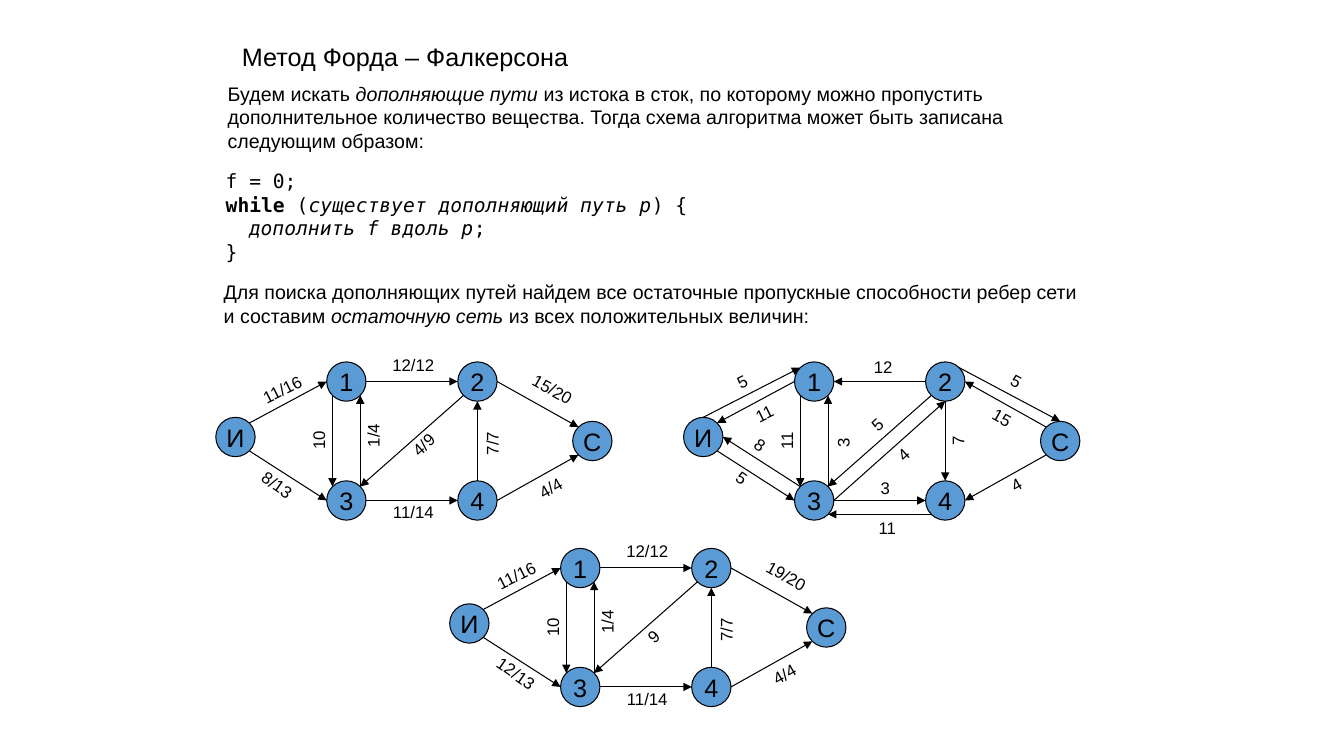
from math import sqrt

from lxml.etree import SubElement
from pptx import Presentation
from pptx.dml.color import RGBColor
from pptx.enum.shapes import MSO_CONNECTOR, MSO_SHAPE
from pptx.enum.text import MSO_ANCHOR, MSO_AUTO_SIZE, PP_ALIGN
from pptx.oxml.ns import qn
from pptx.util import Inches, Pt

COLORS = {"ink": "000000", "node": "5B9BD5"}
SANS, MONO = "Arial", "DejaVu Sans Mono"

TITLE = "Метод Форда – Фалкерсона"

# Each text: box, font, paragraphs as (indent, lines); a line is a list of (text, style) runs
TEXTS = [
    ((2.16, 0.76, 7.94, 0.81), SANS, [(0, [
        [("Будем искать ", ""), ("дополняющие пути", "i"),
         (" из истока в сток, по которому можно пропустить", "")],
        [("дополнительное количество вещества. Тогда схема алгоритма может быть записана", "")],
        [("следующим образом:", "")],
    ])]),
    ((2.14, 1.63, 4.79, 1.04), MONO, [
        (0, [[("f = 0;", "")]]),
        (0, [[("while", "b"), (" (", ""), ("существует дополняющий путь p", "i"), (") {", "")]]),
        (0.23, [[("дополнить f вдоль p", "i"), (";", "")]]),
        (0, [[("}", "")]]),
    ]),
    ((2.12, 2.73, 8.73, 0.57), SANS, [(0, [
        [("Для поиска дополняющих путей найдем все остаточные пропускные способности ребер сети", "")],
        [("и составим ", ""), ("остаточную сеть", "i"), (" из всех положительных величин:", "")],
    ])]),
]

# Top left corner of each node, relative to its graph
NODES = {"И": (0, 0.55), "1": (1.1, 0), "2": (2.4, 0),
         "3": (1.1, 1.18), "4": (2.4, 1.18), "С": (3.54, 0.59)}
DIAMETER = 0.39

# Label angles along the edges
UP, RISE, STEEP, FALL, DROP, RISE_SINK = 270, 333.5, 317.6, 29.1, 35.2, 330.6

# (from, to): from port, to port, label, label centre x, y, angle
FLOW = {
    ("И", "1"): ("ne", "w", "11/16", 0.66, 0.27, RISE),
    ("1", "2"): ("e", "w", "12/12", 1.96, 0.03, 0),
    ("1", "3"): ("sw", "nw", "10", 1.02, 0.78, UP),
    ("3", "1"): ("ne", "se", "1/4", 1.56, 0.73, UP),
    ("И", "3"): ("se", "w", "8/13", 0.61, 1.22, DROP),
    ("3", "4"): ("e", "w", "11/14", 1.96, 1.49, 0),
    ("4", "2"): ("n", "s", "7/7", 2.74, 0.81, UP),
    ("2", "3"): ("sw", "ne", "4/9", 2.06, 0.82, STEEP),
    ("4", "С"): ("e", "sw", "4/4", 3.32, 1.25, RISE_SINK),
    ("2", "С"): ("e", "nw", "15/20", 3.34, 0.27, FALL),
}
AUGMENTED_FLOW = {
    **FLOW,
    ("И", "3"): ("se", "w", "12/13", 0.66, 1.24, DROP),
    ("2", "3"): ("sw", "ne", "9", 2.02, 0.87, STEEP),
    ("2", "С"): ("e", "nw", "19/20", 3.34, 0.27, FALL),
}
RESIDUAL = {
    ("И", "1"): ("n", "nw", "5", 0.58, 0.19, RISE),
    ("1", "И"): ("w", "ne", "11", 0.8, 0.51, RISE),
    ("2", "1"): ("w", "e", "12", 1.98, 0.05, 0),
    ("1", "3"): ("sw", "nw", "11", 1.02, 0.78, UP),
    ("3", "1"): ("ne", "se", "3", 1.58, 0.8, UP),
    ("И", "3"): ("se", "w", "5", 0.58, 1.15, DROP),
    ("3", "И"): ("nw", "e", "8", 0.76, 0.82, DROP),
    ("3", "4"): ("e", "w", "3", 2, 1.25, 0),
    ("4", "3"): ("sw", "se", "11", 2.02, 1.65, 0),
    ("2", "4"): ("s", "n", "7", 2.72, 0.78, UP),
    ("2", "3"): ("sw", "ne", "5", 1.92, 0.62, STEEP),
    ("3", "2"): ("e", "s", "4", 2.18, 0.92, STEEP),
    ("С", "4"): ("sw", "e", "4", 3.3, 1.22, RISE_SINK),
    ("2", "С"): ("ne", "n", "5", 3.3, 0.19, FALL),
    ("С", "2"): ("nw", "e", "15", 3.16, 0.55, FALL),
}
GRAPHS = [((2.14, 3.59), FLOW), ((6.78, 3.59), RESIDUAL), ((4.46, 5.44), AUGMENTED_FLOW)]


def color(name):
    return RGBColor.from_string(COLORS[name])


def add_run(paragraph, text, size, font=SANS, style=""):
    run = paragraph.add_run()
    run.text = text
    run.font.size = Pt(size)
    run.font.name = font
    run.font.color.rgb = color("ink")
    if style == "b":
        run.font.bold = True
    elif style == "i":
        run.font.italic = True


def add_text_box(slide, box):
    shape = slide.shapes.add_textbox(*map(Inches, box))
    shape.text_frame.word_wrap = False
    return shape


def add_title(slide):
    title = slide.shapes.title
    title.left, title.top, title.width, title.height = map(Inches, (2.3, 0.36, 3.45, 0.4))
    frame = title.text_frame
    frame.auto_size = MSO_AUTO_SIZE.NONE
    frame.word_wrap = False
    frame.vertical_anchor = MSO_ANCHOR.TOP
    frame.paragraphs[0].alignment = PP_ALIGN.LEFT
    add_run(frame.paragraphs[0], TITLE, 18)


def add_text(slide, box, font, paragraphs):
    frame = add_text_box(slide, box).text_frame
    for index, (indent, lines) in enumerate(paragraphs):
        paragraph = frame.add_paragraph() if index else frame.paragraphs[0]
        if indent:
            paragraph._p.get_or_add_pPr().set("marL", str(Inches(indent)))
        for number, line in enumerate(lines):
            if number:
                paragraph.add_line_break()
            for text, style in line:
                add_run(paragraph, text, 14, font, style)


def add_node(slide, name, left, top):
    shape = slide.shapes.add_shape(
        MSO_SHAPE.OVAL, *map(Inches, (left, top, DIAMETER, DIAMETER)))
    shape.shadow.inherit = False
    shape.fill.solid()
    shape.fill.fore_color.rgb = color("node")
    shape.line.color.rgb = color("ink")
    shape.line.width = Pt(0.75)
    frame = shape.text_frame
    frame.word_wrap = False
    frame.vertical_anchor = MSO_ANCHOR.MIDDLE
    frame.paragraphs[0].alignment = PP_ALIGN.CENTER
    add_run(frame.paragraphs[0], name, 18)


def port_point(origin, node, port):
    """Point on the node's circle in the given compass direction."""
    dx = ("e" in port) - ("w" in port)
    dy = ("s" in port) - ("n" in port)
    reach = DIAMETER / 2 / sqrt(dx * dx + dy * dy)
    return [start + offset + DIAMETER / 2 + step * reach
            for start, offset, step in zip(origin, NODES[node], (dx, dy))]


def add_arrow(slide, begin, end):
    arrow = slide.shapes.add_connector(MSO_CONNECTOR.STRAIGHT, *map(Inches, (*begin, *end)))
    arrow.line.color.rgb = color("ink")
    arrow.line.width = Pt(0.75)
    SubElement(arrow.line._get_or_add_ln(), qn("a:tailEnd"), type="triangle")
    SubElement(arrow._element.spPr, qn("a:effectLst"))


def add_label(slide, text, center_x, center_y, angle):
    slashes = text.count("/")
    width = 0.22 + 0.1 * (len(text) - slashes) + 0.05 * slashes
    height = 0.3
    shape = add_text_box(slide, (center_x - width / 2, center_y - height / 2, width, height))
    shape.rotation = angle
    paragraph = shape.text_frame.paragraphs[0]
    paragraph.alignment = PP_ALIGN.CENTER
    add_run(paragraph, text, 12)


def add_graph(slide, origin, edges):
    left, top = origin
    for name, (x, y) in NODES.items():
        add_node(slide, name, left + x, top + y)
    for (source, target), (out_port, in_port, label, x, y, angle) in edges.items():
        add_arrow(slide, port_point(origin, source, out_port),
                  port_point(origin, target, in_port))
        add_label(slide, label, left + x, top + y, angle)


def main():
    presentation = Presentation()
    presentation.slide_width, presentation.slide_height = Inches(13.33), Inches(7.5)
    slide = presentation.slides.add_slide(presentation.slide_layouts[5])
    add_title(slide)
    for box, font, paragraphs in TEXTS:
        add_text(slide, box, font, paragraphs)
    for origin, edges in GRAPHS:
        add_graph(slide, origin, edges)
    presentation.save("out.pptx")


if __name__ == "__main__":
    main()
